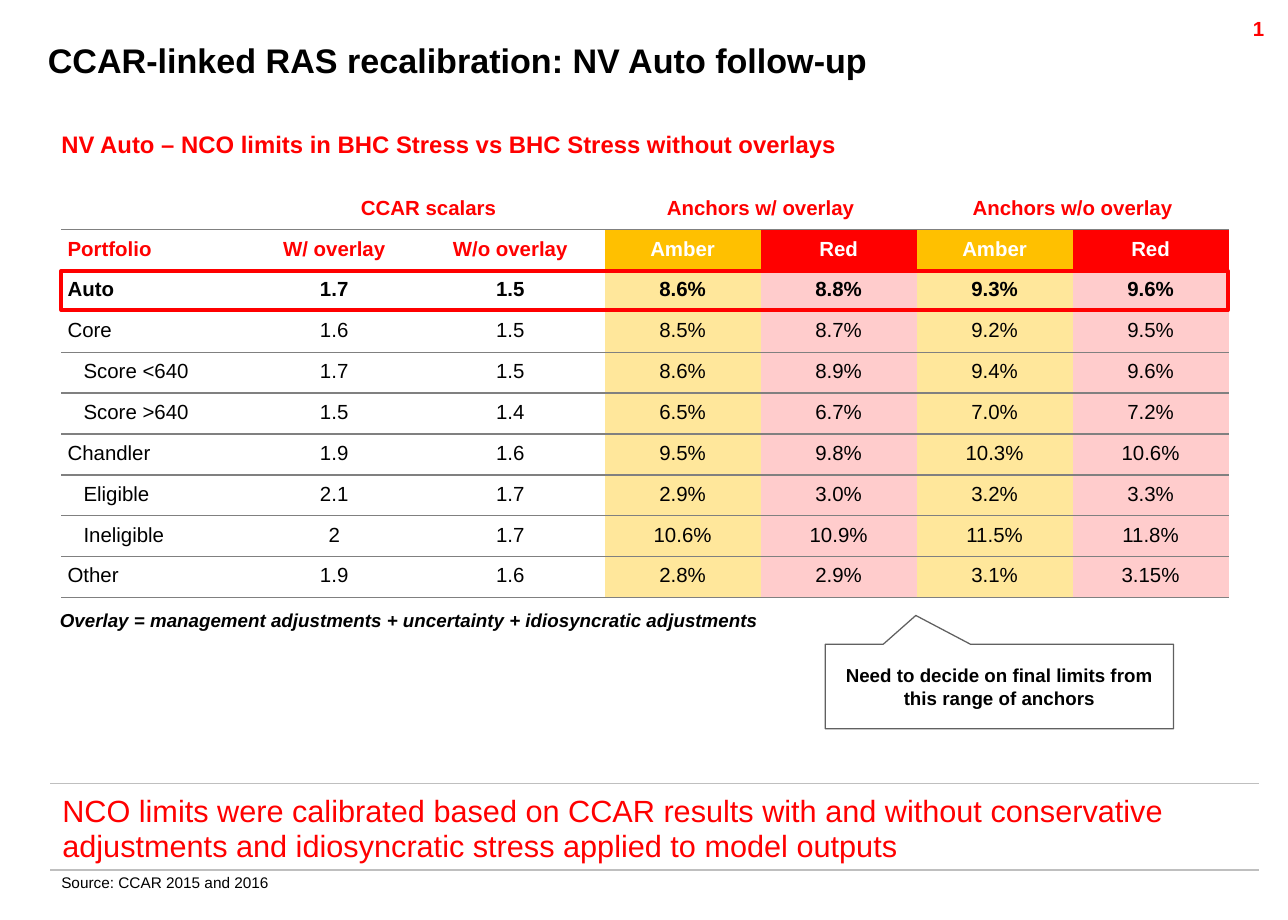
import pptx
import pptx.util
import pptx.dml.color
import pptx.enum.shapes
import pptx.enum.text
import pptx.oxml
import pptx.oxml.ns

Cm = pptx.util.Cm
Pt = pptx.util.Pt
RGBColor = pptx.dml.color.RGBColor
SHAPE = pptx.enum.shapes.MSO_SHAPE
ALIGN = pptx.enum.text.PP_ALIGN
ANCHOR = pptx.enum.text.MSO_ANCHOR

RED = RGBColor(0xFF, 0x00, 0x00)
AMBER = RGBColor(0xFF, 0xC0, 0x00)
PALE_RED = RGBColor(0xFF, 0xCC, 0xCC)
PALE_AMBER = RGBColor(0xFF, 0xE7, 0x9B)
WHITE = RGBColor(0xFF, 0xFF, 0xFF)
BLACK = RGBColor(0x00, 0x00, 0x00)
GREY = RGBColor(0x80, 0x80, 0x80)
LIGHT_GREY = RGBColor(0xBF, 0xBF, 0xBF)
DARK_GREY = RGBColor(0x60, 0x60, 0x60)

PLAIN_TABLE_STYLE = "{2D5ABB26-0587-4C30-8999-92F81FD0307C}"
COLUMN_WIDTHS = [3.96, 3.38, 3.91, 3.23, 3.23, 3.23, 3.23]
GROUPS = {1: "CCAR scalars", 3: "Anchors w/ overlay", 5: "Anchors w/o overlay"}
HEADINGS = ["Portfolio", "W/ overlay", "W/o overlay", "Amber", "Red", "Amber", "Red"]
PORTFOLIOS = [
    ["Auto", "1.7", "1.5", "8.6%", "8.8%", "9.3%", "9.6%"],
    ["Core", "1.6", "1.5", "8.5%", "8.7%", "9.2%", "9.5%"],
    ["Score <640", "1.7", "1.5", "8.6%", "8.9%", "9.4%", "9.6%"],
    ["Score >640", "1.5", "1.4", "6.5%", "6.7%", "7.0%", "7.2%"],
    ["Chandler", "1.9", "1.6", "9.5%", "9.8%", "10.3%", "10.6%"],
    ["Eligible", "2.1", "1.7", "2.9%", "3.0%", "3.2%", "3.3%"],
    ["Ineligible", "2", "1.7", "10.6%", "10.9%", "11.5%", "11.8%"],
    ["Other", "1.9", "1.6", "2.8%", "2.9%", "3.1%", "3.15%"],
]
SUB_PORTFOLIOS = {"Score <640", "Score >640", "Eligible", "Ineligible"}


def write(frame, text, size, color=BLACK, bold=False, italic=False,
          align=ALIGN.LEFT, spacing=1.0):
    para = frame.paragraphs[0]
    para.text = text
    para.alignment = align
    para.line_spacing = spacing
    font = para.font
    font.name, font.size, font.bold, font.italic = "Arial", Pt(size), bold, italic
    font.color.rgb = color


def set_margins(target, side, vertical):
    target.margin_left = target.margin_right = Cm(side)
    target.margin_top = target.margin_bottom = Cm(vertical)


def add_text(page, place, text, size, margins=(0.25, 0.13), **style):
    box = page.shapes.add_textbox(*map(Cm, place))
    box.text_frame.word_wrap = True
    set_margins(box.text_frame, *margins)
    write(box.text_frame, text, size, **style)


def add_plain_table(page, rows, columns, place):
    table = page.shapes.add_table(rows, columns, *map(Cm, place)).table
    table.first_row = table.horz_banding = False
    style = table._tbl.tblPr.find(pptx.oxml.ns.qn("a:tableStyleId"))
    style.text = PLAIN_TABLE_STYLE
    return table


def fill_cell(cell, color):
    cell.fill.solid()
    cell.fill.fore_color.rgb = color


def rule_cell(cell, sides, color, width):
    """Draw cell borders; sides are T and B, in that order."""
    for position, side in enumerate(sides):
        border = pptx.oxml.parse_xml(
            f'<a:ln{side} {pptx.oxml.ns.nsdecls("a")} w="{Pt(width)}">'
            f'<a:solidFill><a:srgbClr val="{color}"/></a:solidFill></a:ln{side}>')
        cell._tc.get_or_add_tcPr().insert(position, border)


def add_limits_table(page):
    table = add_plain_table(page, 10, 7, (1.27, 3.91, 24.17, 8.46))
    for column, width in zip(table.columns, COLUMN_WIDTHS):
        column.width = Cm(width)

    group_row = [GROUPS.get(column, "") for column in range(7)]
    for r, values in enumerate([group_row, HEADINGS] + PORTFOLIOS):
        for c, value in enumerate(values):
            cell = table.cell(r, c)
            cell.vertical_anchor = ANCHOR.MIDDLE
            set_margins(cell, 0.13, 0)
            is_amber = c % 2 == 1
            color = BLACK if r > 1 else RED
            if r == 0 or c < 3:
                fill_cell(cell, WHITE)
            elif r == 1:
                fill_cell(cell, AMBER if is_amber else RED)
                color = WHITE
            else:
                fill_cell(cell, PALE_AMBER if is_amber else PALE_RED)
            rule_cell(cell, "B" if r != 1 else "", GREY, 1)
            if value:
                write(cell.text_frame, value, 12, color, bold=r < 3, spacing=0.86,
                      align=ALIGN.CENTER if c else ALIGN.LEFT)
            if value in SUB_PORTFOLIOS:
                cell.margin_left = Cm(0.46)
    for column in GROUPS:
        table.cell(0, column).merge(table.cell(0, column + 1))


def add_outlined_shape(page, kind, place, line, width):
    shape = page.shapes.add_shape(kind, *map(Cm, place))
    shape.shadow.inherit = False
    shape.fill.background()
    shape.line.color.rgb = line
    shape.line.width = Pt(width)
    return shape


def add_callout(page):
    callout = add_outlined_shape(page, SHAPE.RECTANGULAR_CALLOUT,
                                 (17.09, 13.34, 7.21, 1.75), DARK_GREY, 0.75)
    callout.adjustments[0], callout.adjustments[1] = -0.24, -0.84
    callout.fill.solid()
    callout.fill.fore_color.rgb = WHITE
    frame = callout.text_frame
    frame.word_wrap = True
    frame.vertical_anchor = ANCHOR.MIDDLE
    set_margins(frame, 0.2, 0.2)
    write(frame, "Need to decide on final limits from this range of anchors",
          11, bold=True, align=ALIGN.CENTER)


def add_takeaway(page):
    cell = add_plain_table(page, 1, 1, (1.04, 16.23, 25.02, 1.77)).cell(0, 0)
    cell.vertical_anchor = ANCHOR.BOTTOM
    set_margins(cell, 0.25, 0.13)
    rule_cell(cell, "TB", LIGHT_GREY, 0.75)
    write(cell.text_frame,
          "NCO limits were calibrated based on CCAR results with and without conservative "
          "adjustments and idiosyncratic stress applied to model outputs", 18, RED)


def add_title(page, text):
    title = page.shapes.title
    title.left, title.top, title.width, title.height = map(Cm, (0.74, 0.81, 25.93, 0.99))
    title.text_frame.vertical_anchor = ANCHOR.TOP
    set_margins(title.text_frame, 0.25, 0.13)
    write(title.text_frame, text, 20, bold=True, spacing=0.86)


def main():
    deck = pptx.Presentation()
    deck.slide_width, deck.slide_height = Cm(26.67), Cm(19.05)
    page = deck.slides.add_slide(deck.slide_layouts[5])

    # Headings and page number
    add_title(page, "CCAR-linked RAS recalibration: NV Auto follow-up")
    add_text(page, (23.77, 0.28, 2.54, 0.61), "1", 12, (0.13, 0.13),
             color=RED, bold=True, align=ALIGN.RIGHT, spacing=0.86)
    add_text(page, (1.02, 2.64, 20.62, 0.76),
             "NV Auto – NCO limits in BHC Stress vs BHC Stress without overlays",
             14, color=RED, bold=True, spacing=0.86)

    # Limits table with the Auto row highlighted
    add_limits_table(page)
    add_outlined_shape(page, SHAPE.RECTANGLE, (1.27, 5.61, 24.16, 0.81), RED, 2.25)

    # Remarks under the table
    add_text(page, (1.24, 12.6, 15.5, 0.48),
             "Overlay = management adjustments + uncertainty + idiosyncratic adjustments",
             11, (0, 0), bold=True, italic=True)
    add_callout(page)

    # Takeaway and source
    add_takeaway(page)
    add_text(page, (1.27, 18.08, 6, 0.38), "Source: CCAR 2015 and 2016", 9, (0, 0))

    deck.save("out.pptx")


if __name__ == "__main__":
    main()
